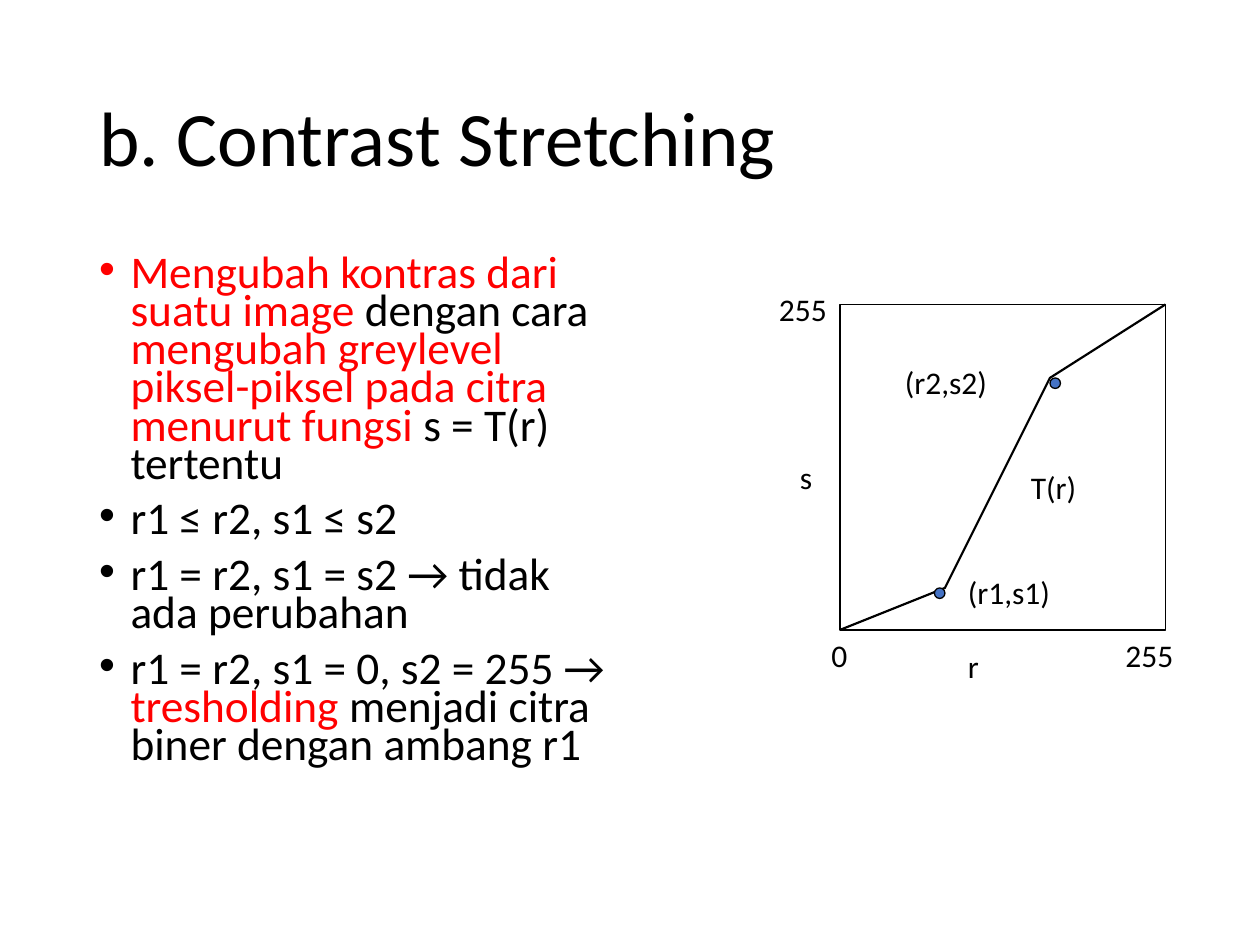
from lxml.etree import SubElement
from pptx import Presentation
from pptx.dml.color import RGBColor
from pptx.enum.shapes import MSO_SHAPE
from pptx.enum.text import MSO_ANCHOR, MSO_AUTO_SIZE, PP_ALIGN
from pptx.oxml.ns import qn
from pptx.util import Inches, Pt

BLACK = RGBColor(0x00, 0x00, 0x00)
RED = RGBColor(0xFF, 0x00, 0x00)
BLUE = RGBColor(0x44, 0x72, 0xC4)

# Grid of twelve cells to the inch
COLUMNS, ROWS = 120, 90
MARGIN = 8.25
GRAPH_LEFT, GRAPH_TOP, GRAPH_SIDE = 80, 29, 31
GRAPH_RIGHT, GRAPH_BOTTOM = GRAPH_LEFT + GRAPH_SIDE, GRAPH_TOP + GRAPH_SIDE
LABEL_HEIGHT = 4.8

BULLETS = [
    [("Mengubah kontras dari suatu image ", RED), ("dengan cara ", BLACK),
     ("mengubah greylevel piksel-piksel pada citra menurut fungsi", RED),
     (" s = T(r) tertentu", BLACK)],
    [("r1 ≤ r2, s1 ≤ s2", BLACK)],
    [("r1 = r2, s1 = s2 → tidak ada perubahan", BLACK)],
    [("r1 = r2, s1 = 0, s2 = 255 → ", BLACK), ("tresholding ", RED),
     ("menjadi citra biner dengan ambang r1", BLACK)],
]
CURVE = [(GRAPH_LEFT, GRAPH_BOTTOM), (90, 56), (100, 36), (GRAPH_RIGHT, GRAPH_TOP)]
CONTROL_POINTS = [(89, 56), (100, 36)]
LABELS = [  # text, column, row, width
    ("0", 78, 60, 4), ("s", 75, 43, 4), ("(r1,s1)", 91, 54, 14), ("r", 91, 61, 4),
    ("255", 73, 27, 9), ("255", 106, 60, 9), ("T(r)", 97, 44, 11), ("(r2,s2)", 85, 34, 14),
]


class SlideBuilder:
    """Places styled elements on one slide, measured in grid cells."""

    font = "Calibri"

    def __init__(self, deck):
        self.cell_width = deck.slide_width / COLUMNS
        self.cell_height = deck.slide_height / ROWS
        self.slide = deck.slides.add_slide(deck.slide_layouts[5])

    def box(self, column, row, width, height):
        return (round(column * self.cell_width), round(row * self.cell_height),
                round(width * self.cell_width), round(height * self.cell_height))

    def run(self, paragraph, text, size, color=BLACK):
        run = paragraph.add_run()
        run.text = text
        run.font.name = self.font
        run.font.size = Pt(size)
        run.font.color.rgb = color

    def outline(self, shape, weight, fill=None):
        shape.shadow.inherit = False
        if fill is None:
            shape.fill.background()
        else:
            shape.fill.solid()
            shape.fill.fore_color.rgb = fill
        shape.line.color.rgb = BLACK
        shape.line.width = Pt(weight)

    def title(self, text, *cells):
        title = self.slide.shapes.title
        title.left, title.top, title.width, title.height = self.box(*cells)
        frame = title.text_frame
        frame.auto_size = MSO_AUTO_SIZE.NONE
        frame.vertical_anchor = MSO_ANCHOR.MIDDLE
        heading = frame.paragraphs[0]
        heading.alignment = PP_ALIGN.LEFT
        heading.line_spacing = 0.9
        self.run(heading, text, 44)

    def text_frame(self, *cells):
        frame = self.slide.shapes.add_textbox(*self.box(*cells)).text_frame
        frame.word_wrap = True
        return frame

    def bullets(self, items, *cells):
        frame = self.text_frame(*cells)
        for index, runs in enumerate(items):
            item = frame.add_paragraph() if index else frame.paragraphs[0]
            item.line_spacing = 0.7
            item.space_before = Pt(10)
            properties = item._p.get_or_add_pPr()
            properties.set("marL", str(Inches(0.25)))
            properties.set("indent", str(-Inches(0.25)))
            SubElement(properties, qn("a:buFont"), typeface="Arial")
            SubElement(properties, qn("a:buChar"), char="•")
            for text, color in runs:
                self.run(item, text, 25.9, color)

    def label(self, text, column, row, width):
        frame = self.text_frame(column, row, width, LABEL_HEIGHT)
        frame.auto_size = MSO_AUTO_SIZE.SHAPE_TO_FIT_TEXT
        self.run(frame.paragraphs[0], text, 18)

    def preset(self, kind, *cells, fill=None):
        shape = self.slide.shapes.add_shape(kind, *self.box(*cells))
        self.outline(shape, 0.75, fill)

    def curve(self, points):
        start, *rest = [self.box(*point, 0, 0)[:2] for point in points]
        builder = self.slide.shapes.build_freeform(*start)
        builder.add_line_segments(rest, close=False)
        self.outline(builder.convert_to_shape(), 1.25)


def main():
    deck = Presentation()
    deck.slide_width, deck.slide_height = Inches(10), Inches(7.5)
    page = SlideBuilder(deck)
    page.title("b. Contrast Stretching", MARGIN, 4.8, COLUMNS - 2 * MARGIN, 17.4)
    page.bullets(BULLETS, MARGIN, 24, 51, 57.1)
    page.preset(MSO_SHAPE.RECTANGLE, GRAPH_LEFT, GRAPH_TOP, GRAPH_SIDE, GRAPH_SIDE)
    page.curve(CURVE)
    for column, row in CONTROL_POINTS:
        page.preset(MSO_SHAPE.OVAL, column, row, 1, 1, fill=BLUE)
    for label in LABELS:
        page.label(*label)
    deck.save("out.pptx")


if __name__ == "__main__":
    main()
